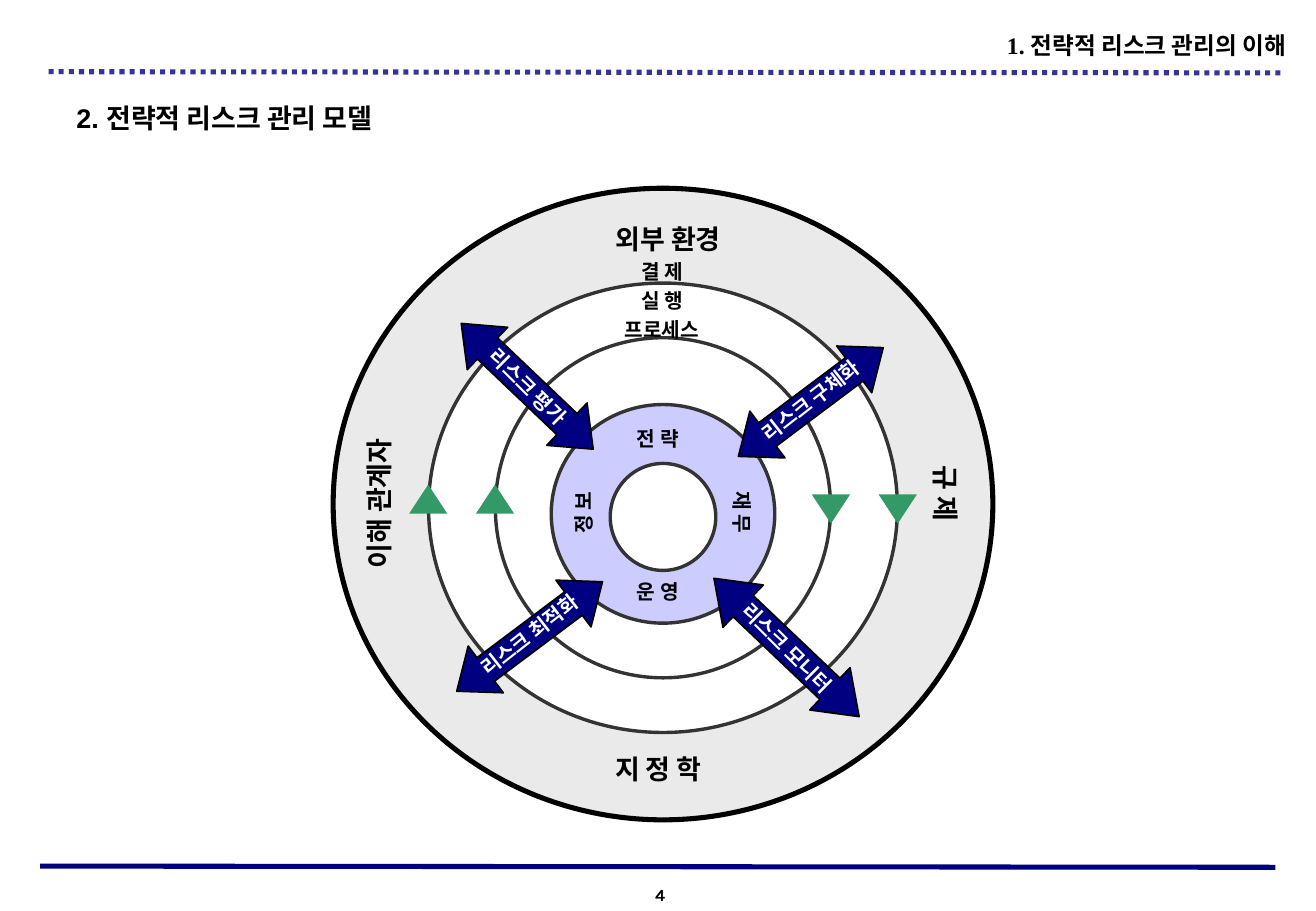
from lxml.etree import SubElement
from pptx import Presentation
from pptx.dml.color import RGBColor
from pptx.enum.dml import MSO_LINE
from pptx.enum.shapes import MSO_CONNECTOR, MSO_SHAPE
from pptx.enum.text import MSO_ANCHOR, PP_ALIGN
from pptx.oxml.ns import qn
from pptx.util import Pt

BLACK = RGBColor(0x00, 0x00, 0x00)
WHITE = RGBColor(0xFF, 0xFF, 0xFF)
NAVY = RGBColor(0x00, 0x00, 0x80)
INDIGO = RGBColor(0x33, 0x33, 0x99)
LILAC = RGBColor(0xCC, 0xCC, 0xFF)
GREEN = RGBColor(0x33, 0x99, 0x66)
PALE = RGBColor(0xEA, 0xEA, 0xEA)
DARK = RGBColor(0x33, 0x33, 0x33)
SANS = "Noto Sans CJK KR"

deck = Presentation()
deck.slide_width, deck.slide_height = Pt(780), Pt(540)
slide = deck.slides.add_slide(deck.slide_layouts[6])
shapes = slide.shapes


def add_form(kind, x, y, wide, high, fill, line=None, weight=0, turn=0):
    """Add a preset shape centred on x, y; without a line colour it has no outline."""
    form = shapes.add_shape(kind, Pt(x - wide / 2), Pt(y - high / 2), Pt(wide), Pt(high))
    form.shadow.inherit = False
    form.rotation = turn
    form.fill.solid()
    form.fill.fore_color.rgb = fill
    if line is None:
        form.line.fill.background()
    else:
        form.line.color.rgb = line
        form.line.width = Pt(weight)
    return form


def add_label(text, x, y, wide, high, size, turn=0, color=BLACK, font=SANS,
              align=PP_ALIGN.CENTER, space=1.2, wrap=True):
    """Add bold text in a box centred on x, y, one paragraph per line."""
    box = shapes.add_textbox(Pt(x - wide / 2), Pt(y - high / 2), Pt(wide), Pt(high))
    box.rotation = turn
    frame = box.text_frame
    frame.word_wrap = wrap
    frame.vertical_anchor = MSO_ANCHOR.MIDDLE
    frame.text = text
    for para in frame.paragraphs:
        para.alignment = align
        para.line_spacing = space
        para.font.name = font
        para.font.size = Pt(size)
        para.font.bold = True
        para.font.color.rgb = color


# Header, title and footer
rules = [
    (756, 514.1, 23.8, 513.4, NAVY, None),
    (758.9, 43.2, 27.4, 42.5, INDIGO, MSO_LINE.ROUND_DOT),
]
for x1, y1, x2, y2, color, dash in rules:
    rule = shapes.add_connector(MSO_CONNECTOR.STRAIGHT, Pt(x1), Pt(y1), Pt(x2), Pt(y2))
    rule.line.color.rgb = color
    rule.line.width = Pt(3)
    rule.line.dash_style = dash
    SubElement(rule.element.spPr, qn("a:effectLst"))

add_label("4", 391.3, 530.3, 61.2, 19.4, 10, font="Karla", space=1)
add_label("2. 전략적 리스크 관리 모델", 146.2, 69.5, 216, 26.6, 16,
          font="Arial", align=PP_ALIGN.LEFT, space=1)
add_label("1. 전략적 리스크 관리의 이해", 674.6, 27, 190, 23.8, 14,
          font="Times New Roman", align=PP_ALIGN.RIGHT, space=1, wrap=False)

# Rings, from the outside in
mid = 393
rings = [
    (298.8, 391, 374.4, PALE, BLACK, 3),
    (301, 277.9, 266.4, WHITE, DARK, 2),
    (301, 198.7, 201.6, WHITE, DARK, 2),
    (304.6, 132.5, 129.6, LILAC, DARK, 2),
    (306.4, 62.6, 63.4, WHITE, DARK, 2),
]
for y, wide, high, fill, line, weight in rings:
    add_form(MSO_SHAPE.OVAL, mid, y, wide, high, fill, line, weight)

outer = [
    ("외부 환경", 396, 139.3, 0),
    ("지 정 학", 390.2, 454, 0),
    ("규 제", 563, 292.7, 90),
    ("이해 관계자", 222.5, 298.4, 270),
]
for text, x, y, turn in outer:
    add_label(text, x, y, 102.2, 39.6, 16, turn)

inner = [
    ("전 략", 389.9, 258.5, 0),
    ("운 영", 389.9, 349.2, 0),
    ("정 보", 344.5, 303.8, 270),
    ("재 무", 441.7, 303.8, 90),
]
for text, x, y, turn in inner:
    add_label(text, x, y, 56.9, 23, 12, turn)

add_label("결 제\n실 행\n프로세스", 392.4, 176.8, 73.4, 62.6, 12)

# Flow marks on the two middle rings
for x, y, turn in [(253.8, 295.9, 0), (293.4, 295.9, 0),
                   (492.5, 301.7, 180), (532.1, 301.7, 180)]:
    add_form(MSO_SHAPE.ISOSCELES_TRIANGLE, x, y, 22.7, 17.3, GREEN, turn=turn)

# Risk arrows: falling ones, then rising ones
fall = (43.6, 44.8, 1.6, -0.8)
rise = (143.1, 321.9, -0.9, -2.2)
arrows = [
    ("리스크 평가", 312.5, 229, 108, 0.62, fall),
    ("리스크 모니터", 466.2, 383.8, 118.8, 0.69, fall),
    ("리스크 구체화", 480.6, 238.3, 107.3, 0.62, rise),
    ("리스크 최적화", 313.9, 377.3, 108, 0.62, rise),
]
for text, x, y, wide, head, (turn, tilt, dx, dy) in arrows:
    arrow = add_form(MSO_SHAPE.LEFT_RIGHT_ARROW, x, y, wide, 34.6, NAVY, BLACK, 1, turn)
    arrow.adjustments[0] = 0.5
    arrow.adjustments[1] = head
    add_label(text, x + dx, y + dy, 93, 23, 12, tilt, WHITE)

deck.save("out.pptx")
